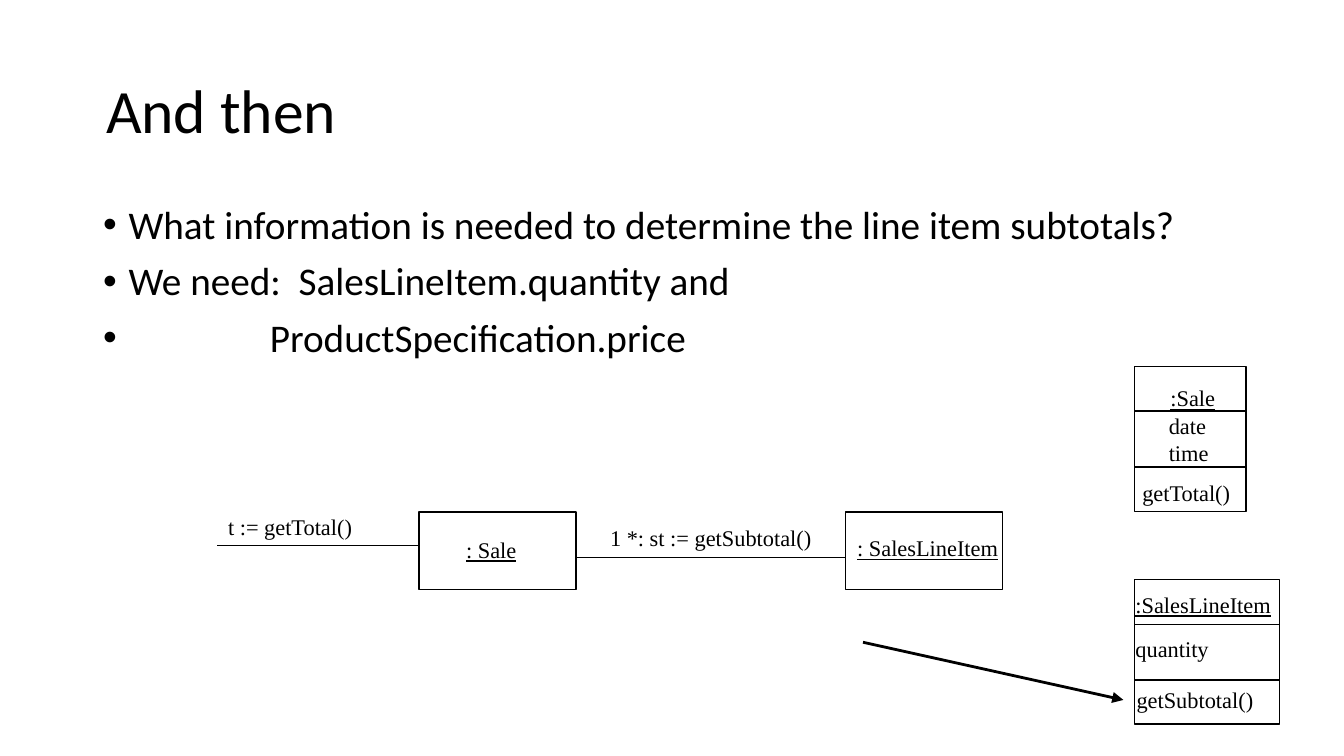
import pptx
import pptx.dml.color
import pptx.enum.shapes
import pptx.enum.text
import pptx.oxml
import pptx.oxml.ns
import pptx.util

Cm = pptx.util.Cm
Pt = pptx.util.Pt
BLACK = pptx.dml.color.RGBColor(0, 0, 0)
LABEL_HEIGHT = 0.76


def drawing_element(tag, **attributes):
    element = pptx.oxml.parse_xml(f"<a:{tag} {pptx.oxml.ns.nsdecls('a')}/>")
    for name, value in attributes.items():
        element.set(name, str(value))
    return element


class DiagramSlide:
    """Holds the current slide and its style; all lengths are centimetres."""

    body_font = "Calibri"
    label_font = "Times New Roman"
    ink = BLACK

    def __init__(self, slide):
        self.slide = slide

    def add_run(self, paragraph, text, font_name, size, underline=None):
        run = paragraph.add_run()
        run.text = text
        run.font.name = font_name
        run.font.size = Pt(size)
        run.font.color.rgb = self.ink
        run.font.underline = underline

    def title(self, text, left, top, width, height):
        shape = self.slide.shapes.title
        shape.left, shape.top = Cm(left), Cm(top)
        shape.width, shape.height = Cm(width), Cm(height)
        shape.text_frame.vertical_anchor = pptx.enum.text.MSO_ANCHOR.MIDDLE
        paragraph = shape.text_frame.paragraphs[0]
        paragraph.alignment = pptx.enum.text.PP_ALIGN.LEFT
        paragraph.line_spacing = 0.9
        self.add_run(paragraph, text, self.body_font, 33)

    def bullets(self, items, left, top, width, height):
        """Write (text, hanging indent) pairs as a bulleted list."""
        shape = self.slide.shapes.add_textbox(Cm(left), Cm(top), Cm(width), Cm(height))
        frame = shape.text_frame
        frame.word_wrap = True
        for index, (text, indent) in enumerate(items):
            paragraph = frame.add_paragraph() if index else frame.paragraphs[0]
            paragraph.line_spacing = 0.9
            if index:
                paragraph.space_before = Pt(7.5)
            properties = paragraph._p.get_or_add_pPr()
            properties.set("marL", str(Cm(indent)))
            properties.set("indent", str(-Cm(indent)))
            properties.append(drawing_element("buFont", typeface="Arial"))
            properties.append(drawing_element("buChar", char="•"))
            self.add_run(paragraph, text, self.body_font, 21)

    def label(self, lines, left, top, width, height=LABEL_HEIGHT, underline=None):
        shape = self.slide.shapes.add_textbox(Cm(left), Cm(top), Cm(width), Cm(height))
        frame = shape.text_frame
        frame.word_wrap = False
        frame.auto_size = pptx.enum.text.MSO_AUTO_SIZE.SHAPE_TO_FIT_TEXT
        for index, line in enumerate(lines):
            paragraph = frame.add_paragraph() if index else frame.paragraphs[0]
            self.add_run(paragraph, line, self.label_font, 12, underline)

    def box(self, left, top, width, height):
        shape = self.slide.shapes.add_shape(
            pptx.enum.shapes.MSO_SHAPE.RECTANGLE, Cm(left), Cm(top), Cm(width), Cm(height))
        shape.shadow.inherit = False
        shape.fill.background()
        shape.line.color.rgb = self.ink
        shape.line.width = Pt(0.75)

    def line(self, start, end, width=0.75, arrow=False):
        connector = self.slide.shapes.add_connector(
            pptx.enum.shapes.MSO_CONNECTOR.STRAIGHT, *map(Cm, start + end))
        connector.line.color.rgb = self.ink
        connector.line.width = Pt(width)
        if arrow:
            connector.line._get_or_add_ln().append(drawing_element("tailEnd", type="triangle"))
        connector._element.spPr.append(drawing_element("effectLst"))

    def class_box(self, left, top, width, height, dividers):
        """Draw a class outline, with dividers measured from its top."""
        self.box(left, top, width, height)
        for offset in dividers:
            self.line((left, top + offset), (left + width, top + offset))


def main():
    presentation = pptx.Presentation()
    presentation.slide_width, presentation.slide_height = Cm(25.4), Cm(14.29)
    diagram = DiagramSlide(presentation.slides.add_slide(presentation.slide_layouts[5]))

    diagram.title("And then", 1.75, 0.76, 21.9, 2.77)
    diagram.bullets([
        ("What information is needed to determine the line item subtotals?", 0.48),
        ("We need:  SalesLineItem.quantity and", 0.48),
        ("ProductSpecification.price", 3.15),
    ], 1.7, 3.76, 22.66, 9.09)

    # Collaboration between the two objects
    sale_left, line_item_left, object_top, object_width = 7.92, 15.98, 9.68, 2.97
    for left in (sale_left, line_item_left):
        diagram.box(left, object_top, object_width, 1.47)
    diagram.line((sale_left + object_width, 10.54), (line_item_left, 10.54))
    diagram.line((4.11, 10.31), (sale_left, 10.31))
    diagram.label(["t := getTotal()"], 4.06, 9.58, 2.9)
    diagram.label([": Sale"], 8.56, 10.01, 1.47, underline=True)
    diagram.label([": SalesLineItem"], 15.95, 9.98, 3.2, underline=True)
    diagram.label(["1 *: st := getSubtotal()"], 11.28, 9.78, 4.34)

    # Class details
    diagram.class_box(21.44, 6.93, 2.11, 2.74, (0.84, 1.9))
    diagram.class_box(21.44, 10.95, 2.74, 2.74, (0.86, 1.9))
    diagram.label([":Sale"], 21.87, 7.14, 1.37, underline=True)
    diagram.label(["date", "time"], 21.84, 7.67, 1.27, 1.27)
    diagram.label(["getTotal()"], 21.34, 8.94, 2.21)
    diagram.label([":SalesLineItem"], 21.21, 11.05, 3.1, underline=True)
    diagram.label(["quantity"], 21.21, 11.89, 1.9)
    diagram.label(["getSubtotal()"], 21.23, 12.85, 2.72)
    diagram.line((16.31, 12.14), (21.23, 13.23), width=1.5, arrow=True)

    presentation.save("out.pptx")


if __name__ == "__main__":
    main()
